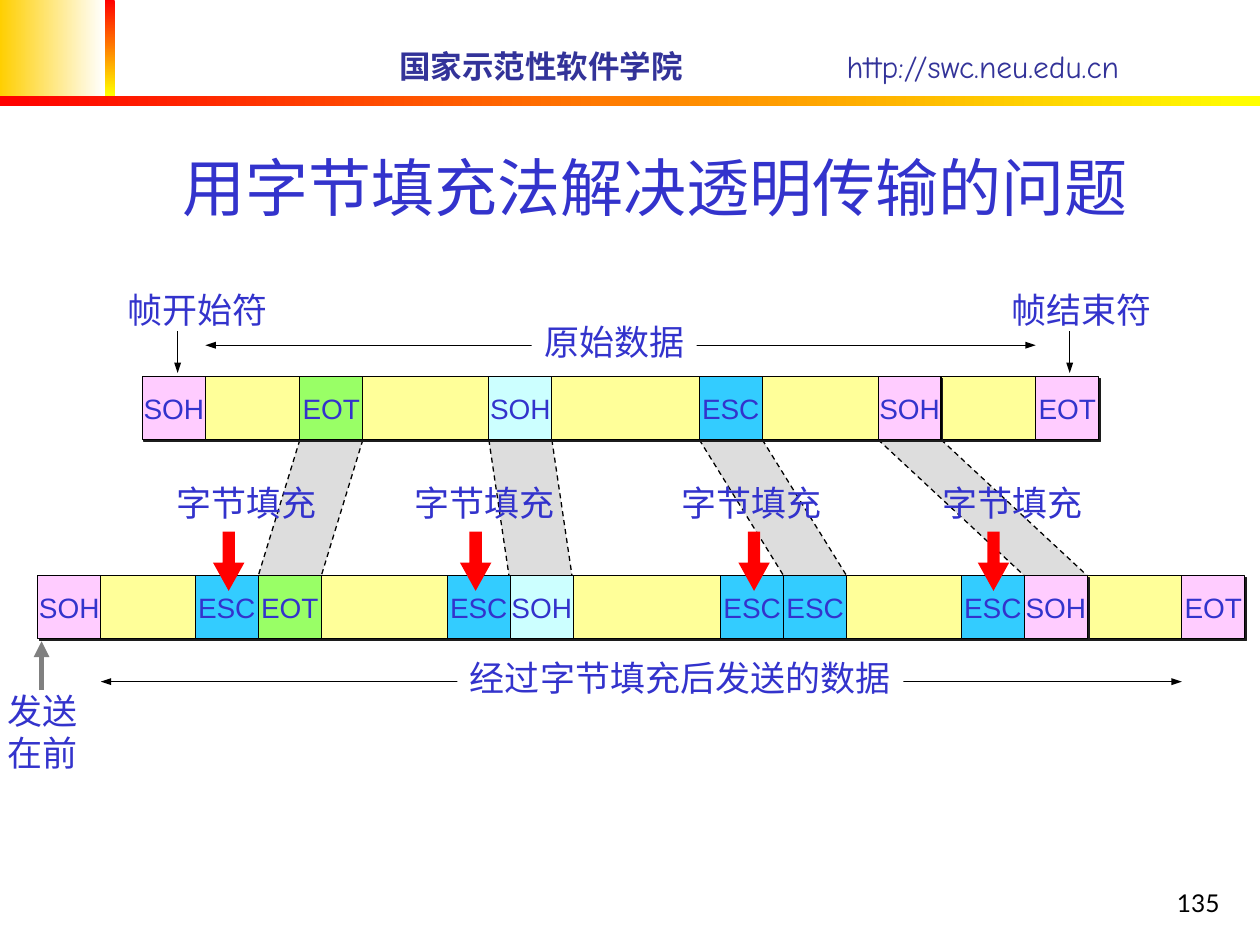
from lxml import etree
from pptx import Presentation
from pptx.dml.color import RGBColor
from pptx.enum.dml import MSO_LINE
from pptx.enum.shapes import MSO_CONNECTOR, MSO_SHAPE
from pptx.enum.text import MSO_ANCHOR, PP_ALIGN
from pptx.oxml import parse_xml
from pptx.oxml.ns import nsdecls, qn
from pptx.util import Inches, Pt

RECT, DOWN = MSO_SHAPE.RECTANGLE, MSO_SHAPE.DOWN_ARROW
LEFT, MID, RIGHT = PP_ALIGN.LEFT, PP_ALIGN.CENTER, PP_ALIGN.RIGHT
TOP, CENTER, BASE = MSO_ANCHOR.TOP, MSO_ANCHOR.MIDDLE, MSO_ANCHOR.BOTTOM
STRAIGHT, DASH = MSO_CONNECTOR.STRAIGHT, MSO_LINE.DASH
INK, NAVY, BLACK, RED = "3333CC", "333399", "000000", "FF0000"
PINK, GREEN, AQUA, BLUE = "FFCCFF", "99FF66", "CCFFFF", "33CCFF"
CELL = 0.5
SHADOW = (
    f'<a:effectLst {nsdecls("a")}><a:outerShdw dist="17780" dir="2700000">'
    '<a:srgbClr val="1C1C1C"/></a:outerShdw></a:effectLst>'
)
DATA = [
    (0.75, "EOT", GREEN), (2.25, "SOH", AQUA),
    (3.92, "ESC", BLUE), (5.34, "SOH", PINK),
]
SENT = [
    (0.75, "ESC", BLUE), (1.25, "EOT", GREEN), (2.75, "ESC", BLUE),
    (3.25, "SOH", AQUA), (4.92, "ESC", BLUE), (5.42, "ESC", BLUE),
    (6.83, "ESC", BLUE), (7.33, "SOH", PINK),
]
SPANS = [(2.38, 2.05), (3.88, 4.04), (5.55, 6.22), (6.97, 8.13)]
STUFFS = [(1.4, 1.69), (3.29, 3.65), (5.41, 5.86), (7.48, 7.76)]


def color(code):
    """Turn a hex string into a colour."""
    return RGBColor.from_string(code)


def write(shape, text, size, ink=INK, font="Arial", align=LEFT, anchor=TOP,
          bold=False, wrap=False):
    """Set and format the text of a shape."""
    frame = shape.text_frame
    frame.text = text
    frame.word_wrap = wrap
    frame.vertical_anchor = anchor
    frame.margin_left = frame.margin_right = 0
    frame.margin_top = frame.margin_bottom = 0
    for para in frame.paragraphs:
        para.alignment = align
        for run in para.runs:
            run.font.size = Pt(size)
            run.font.name = font
            run.font.bold = bold
            run.font.color.rgb = color(ink)


def label(slide, x, y, w, h, text, size=20, **style):
    """Add a text box."""
    box = slide.shapes.add_textbox(Inches(x), Inches(y), Inches(w), Inches(h))
    write(box, text, size, **style)


def block(slide, x, y, w, h, fill, line=None, kind=RECT):
    """Add a filled shape."""
    shape = slide.shapes.add_shape(
        kind, Inches(x), Inches(y), Inches(w), Inches(h))
    shape.shadow.inherit = False
    shape.fill.solid()
    shape.fill.fore_color.rgb = color(fill)
    if line:
        shape.line.color.rgb = color(line)
        shape.line.width = Pt(0.75)
    else:
        shape.line.fill.background()
    return shape


def shade(shape):
    """Give a shape a small hard shadow."""
    props = shape._element.spPr
    props.replace(props.find(qn("a:effectLst")), parse_xml(SHADOW))


def blend(slide, x, y, w, h, first, last, angle=0):
    """Add a bar with a two-colour gradient."""
    fill = block(slide, x, y, w, h, first).fill
    fill.gradient()
    fill.gradient_angle = angle
    for stop, code, place in zip(fill.gradient_stops, (first, last), (0, 1)):
        stop.color.rgb = color(code)
        stop.position = place


def link(slide, x1, y1, x2, y2, ink=BLACK, width=0.75, dash=False, ends=(),
         head="sm"):
    """Add a line, with arrowheads at the named ends."""
    line = slide.shapes.add_connector(
        STRAIGHT, Inches(x1), Inches(y1), Inches(x2), Inches(y2))
    line.line.color.rgb = color(ink)
    line.line.width = Pt(width)
    if dash:
        line.line.dash_style = DASH
    pen = line.line._get_or_add_ln()
    for end in ends:
        etree.SubElement(pen, qn(f"a:{end}"), type="triangle", w=head)
    etree.SubElement(line._element.spPr, qn("a:effectLst"))


def header(slide, x, y, w):
    """Draw the banner and its two captions."""
    blend(slide, x, y, 0.83, 0.76, "FFCF01", "FFFFFF")
    blend(slide, x + 0.83, y, 0.08, 0.76, RED, "FFFF00", 270)
    blend(slide, x, y + 0.76, w, 0.08, RED, "FFFF00")
    style = dict(size=18, ink=NAVY, font="Comic Neue", anchor=CENTER)
    label(slide, x + 3.17, y + 0.32, 2.4, 0.4, "国家示范性软件学院",
          bold=True, **style)
    label(slide, x + 6.72, y + 0.32, 2.4, 0.4, "http://swc.neu.edu.cn",
          **style)


def cell(slide, x, y, text, fill):
    """Draw one control character."""
    box = block(slide, x, y, CELL, CELL, fill, BLACK)
    write(box, text, 16, align=MID, anchor=CENTER)
    if fill == PINK:
        shade(box)


def frame(slide, x, y, w, parts):
    """Draw a frame: start mark, data bar with its parts, end mark."""
    cell(slide, x, y, "SOH", PINK)
    body = x + CELL
    shade(block(slide, body, y, w - 2 * CELL, CELL, "FFFF99", BLACK))
    for place, text, fill in parts:
        cell(slide, body + place, y, text, fill)
    cell(slide, x + w - CELL, y, "EOT", PINK)


def bridge(slide, high, low, y, h):
    """Join a byte in the upper frame to its place in the lower one."""
    spots = [(low, y + h), (low + CELL, y + h), (high + CELL, y), (high, y)]
    start, *rest = [(Inches(a), Inches(b)) for a, b in spots]
    maker = slide.shapes.build_freeform(*start)
    maker.add_line_segments(rest)
    band = maker.convert_to_shape()
    band.shadow.inherit = False
    band.fill.solid()
    band.fill.fore_color.rgb = color("DDDDDD")
    band.line.fill.background()
    for side in (0, CELL):
        link(slide, high + side, y, low + side, y + h, dash=True)


def extent(slide, x, y, w, text, start, width):
    """Draw a two-way arrow with a caption on it."""
    link(slide, x, y, x + w, y, ends=("headEnd", "tailEnd"))
    block(slide, start, y - 0.25, width, 0.44, "FFFFFF")
    label(slide, start + 0.1, y - 0.2, width, 0.34, text)


def mark(slide, x, y, text, tip):
    """Name a frame mark and point down to it."""
    label(slide, x, y, 1.3, 0.34, text)
    link(slide, tip, y + 0.34, tip, y + 0.67, ends=("tailEnd",))


def stuff(slide, x, y, tip):
    """Point out one stuffed byte."""
    label(slide, x, y, 1.3, 0.34, "字节填充")
    arrow = block(slide, tip, y + 0.4, 0.25, 0.47, RED, kind=DOWN)
    arrow.adjustments[0], arrow.adjustments[1] = 0.39, 0.9


def chart(slide, upper, lower):
    """Draw both frames and the notes around them."""
    for high, low in SPANS:
        bridge(slide, high, low, upper + CELL, lower - upper - CELL)
    frame(slide, 1.13, upper, 7.59, DATA)
    frame(slide, 0.3, lower, 9.58, SENT)
    extent(slide, 1.63, upper - 0.25, 6.59, "原始数据", 4.22, 1.31)
    extent(slide, 0.8, lower + 0.84, 8.58, "经过字节填充后发送的数据",
           3.63, 3.54)
    mark(slide, 1.01, upper - 0.7, "帧开始符", 1.41)
    mark(slide, 8.03, upper - 0.7, "帧结束符", 8.49)
    for x, tip in STUFFS:
        stuff(slide, x, lower - 0.75, tip)
    link(slide, 0.33, lower + 0.91, 0.33, lower + 0.52, "808080", 3,
         ends=("tailEnd",), head="med")
    label(slide, 0.06, lower + 0.9, 0.7, 0.67, "发送\n在前")


def main():
    """Build and save the slide."""
    deck = Presentation()
    deck.slide_width, deck.slide_height = Inches(10), Inches(7.5)
    slide = deck.slides.add_slide(deck.slide_layouts[6])
    header(slide, 0, 0, 10)
    label(slide, 1.3, 0.28, 7.8, 1.5, "用字节填充法解决透明传输的问题", 36,
          font="Lato", align=MID, anchor=BASE, wrap=True)
    chart(slide, 2.99, 4.57)
    label(slide, 7.8, 6.88, 1.88, 0.4, "135", 14, ink=BLACK, font="Lato",
          align=RIGHT, anchor=BASE, wrap=True)
    deck.save("out.pptx")


if __name__ == "__main__":
    main()
